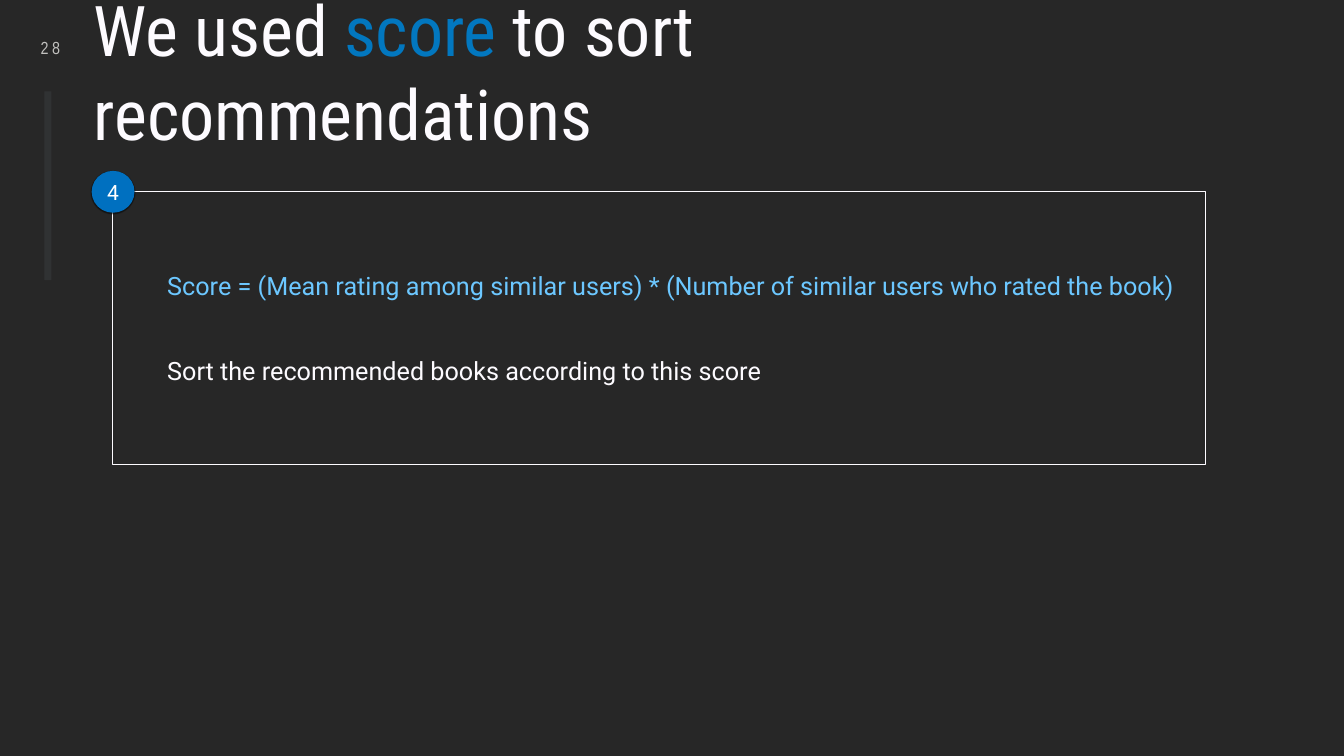
from dataclasses import dataclass

from lxml import etree
from pptx import Presentation
from pptx.dml.color import RGBColor
from pptx.enum.shapes import MSO_CONNECTOR, MSO_SHAPE
from pptx.enum.text import MSO_ANCHOR, PP_ALIGN
from pptx.oxml.ns import qn
from pptx.util import Cm, Pt

STRAIGHT = MSO_CONNECTOR.STRAIGHT
RECTANGLE, OVAL = MSO_SHAPE.RECTANGLE, MSO_SHAPE.OVAL
TOP, MIDDLE = MSO_ANCHOR.TOP, MSO_ANCHOR.MIDDLE
LEFT, CENTER = PP_ALIGN.LEFT, PP_ALIGN.CENTER
TITLE_ONLY = 5


@dataclass(frozen=True)
class Theme:
    background: str = "272727"
    text: str = "FDFBFF"
    muted: str = "C1C0BE"
    rail: str = "879BA3"
    title_accent: str = "0277BF"
    badge: str = "0070C0"
    badge_text: str = "FFFFFF"
    formula: str = "6CC7FF"
    title_font: str = "Roboto Condensed"
    body_font: str = "Roboto"
    number_font: str = "Arial Narrow"
    title_size: int = 100
    body_size: int = 36
    badge_size: int = 30
    number_size: int = 25
    margin: float = 0.1


def color(value):
    return RGBColor.from_string(value)


class SlideBuilder:
    def __init__(self, slide, theme):
        self.slide, self.theme = slide, theme
        fill = slide.background.fill
        fill.solid()
        fill.fore_color.rgb = color(theme.background)

    def format_frame(self, frame, anchor, wrap):
        frame.margin_left = frame.margin_right = Cm(self.theme.margin)
        frame.margin_top = frame.margin_bottom = Cm(self.theme.margin)
        frame.vertical_anchor = anchor
        frame.word_wrap = wrap

    def set_text(self, frame, text, font, size, ink, align=LEFT, anchor=MIDDLE, wrap=False):
        self.format_frame(frame, anchor, wrap)
        paragraph = frame.paragraphs[0]
        paragraph.text = text
        paragraph.alignment = align
        paragraph.font.name = font
        paragraph.font.size = Pt(size)
        paragraph.font.color.rgb = color(ink)
        return paragraph

    def title(self, box, parts):
        shape = self.slide.shapes.title
        shape.left, shape.top, shape.width, shape.height = map(Cm, box)
        theme = self.theme
        paragraph = self.set_text(shape.text_frame, "", theme.title_font,
                                  theme.title_size, theme.text, wrap=True)
        paragraph.line_spacing = 1.0
        paragraph.space_before = Pt(0)
        for text, ink in parts:
            run = paragraph.add_run()
            run.text = text
            run.font.color.rgb = color(ink)

    def text(self, box, text, font, size, ink, **layout):
        shape = self.slide.shapes.add_textbox(*map(Cm, box))
        return self.set_text(shape.text_frame, text, font, size, ink, **layout)

    def shape(self, kind, box, fill=None, line=None):
        shape = self.slide.shapes.add_shape(kind, *map(Cm, box))
        if fill:
            shape.fill.solid()
            shape.fill.fore_color.rgb = color(fill)
        else:
            shape.fill.background()
        if line:
            shape.line.color.rgb = color(line)
            shape.line.width = Pt(0.25)
        else:
            shape.line.fill.background()
        self.drop_shadow(shape)
        return shape

    def drop_shadow(self, shape):
        shape.shadow.inherit = False
        effects = shape._element.spPr.find(qn("a:effectLst"))
        shadow = etree.SubElement(effects, qn("a:outerShdw"), blurRad=str(Pt(1)),
                                  dist=str(Pt(1)), dir="5400000", rotWithShape="0")
        black = etree.SubElement(shadow, qn("a:srgbClr"), val="000000")
        etree.SubElement(black, qn("a:alpha"), val="50000")

    def badge(self, box, text):
        theme = self.theme
        shape = self.shape(OVAL, box, fill=theme.badge)
        self.set_text(shape.text_frame, text, theme.body_font, theme.badge_size,
                      theme.badge_text, align=CENTER)

    def rail(self, x, top, bottom, width, opacity):
        line = self.slide.shapes.add_connector(STRAIGHT, Cm(x), Cm(bottom), Cm(x), Cm(top))
        line.line.width = Pt(width)
        line.line.color.rgb = color(self.theme.rail)
        properties = line._element.spPr
        ink = properties.find(".//" + qn("a:srgbClr"))
        etree.SubElement(ink, qn("a:alpha"), val=str(opacity * 1000))
        etree.SubElement(properties, qn("a:effectLst"))

    def page_number(self, box, text):
        theme = self.theme
        paragraph = self.text(box, text, theme.number_font, theme.number_size,
                              theme.muted, align=CENTER, anchor=TOP)
        paragraph.runs[0]._r.get_or_add_rPr().set("spc", "500")


def main():
    theme = Theme()
    presentation = Presentation()
    presentation.slide_width, presentation.slide_height = Cm(67.74), Cm(38.1)
    slide = presentation.slides.add_slide(presentation.slide_layouts[TITLE_ONLY])
    builder = SlideBuilder(slide, theme)

    # Left rail and page number
    builder.rail(x=2.41, top=4.6, bottom=14.12, width=10, opacity=9)
    builder.page_number((1.7, 1.78, 1.68, 1.37), "28")

    # Title
    builder.title((4.62, 1.32, 50.57, 4.5), [
        ("We used ", theme.text),
        ("score ", theme.title_accent),
        ("to sort recommendations", theme.text),
    ])

    # Frame with the step badge on its corner
    builder.shape(RECTANGLE, (5.66, 9.65, 55.07, 13.74), line=theme.text)
    builder.badge((4.62, 8.61, 2.16, 2.11), "4")

    # Statements inside the frame
    statements = [
        ("Score = (Mean rating among similar users) * "
         "(Number of similar users who rated the book)", 51.36, theme.formula),
        ("Sort the recommended books according to this score", 30.71, theme.text),
    ]
    first_top, pitch = 13.49, 4.32
    for index, (text, width, ink) in enumerate(statements):
        builder.text((8.33, first_top + index * pitch, width, 1.75), text,
                     theme.body_font, theme.body_size, ink)

    presentation.save("out.pptx")


if __name__ == "__main__":
    main()
